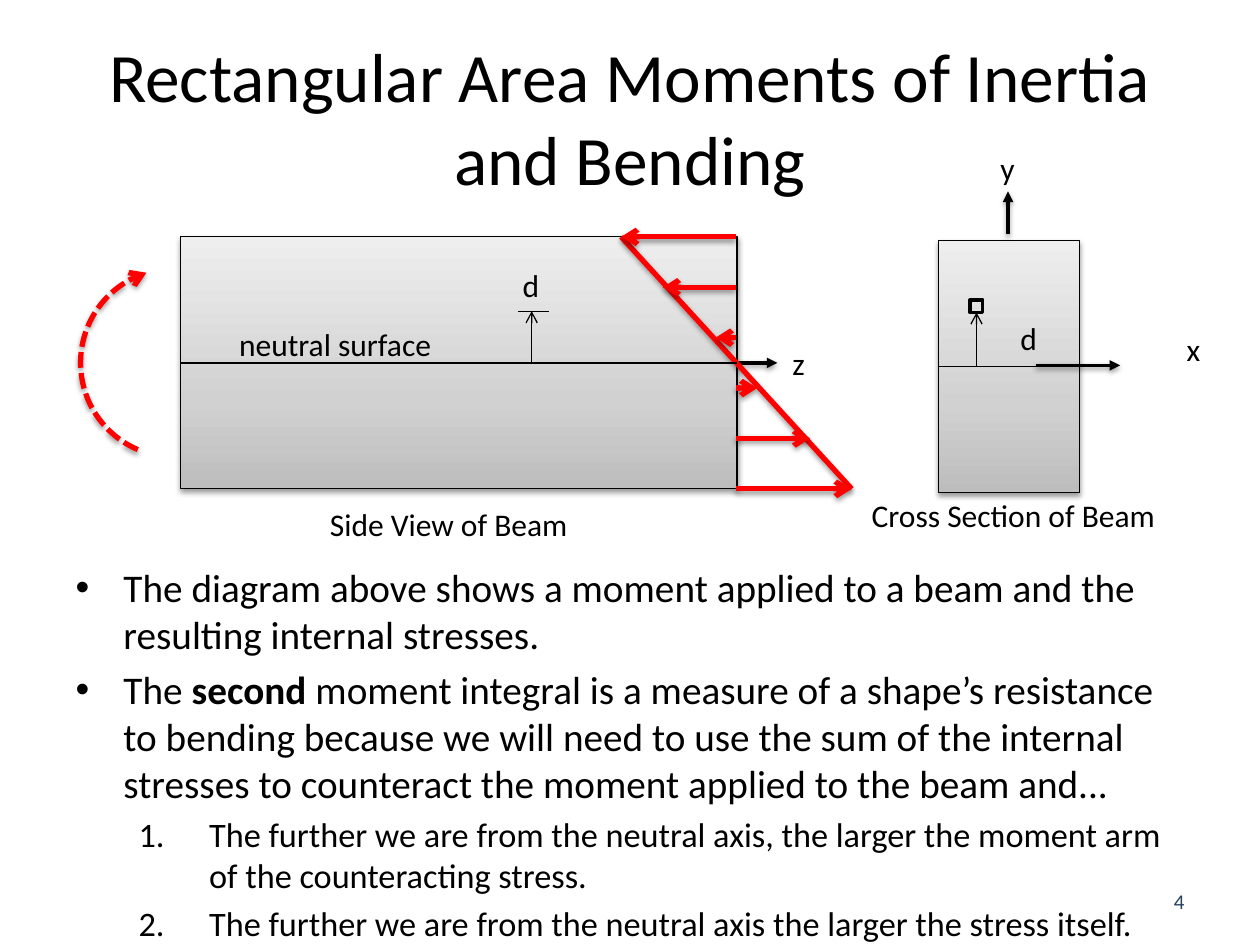
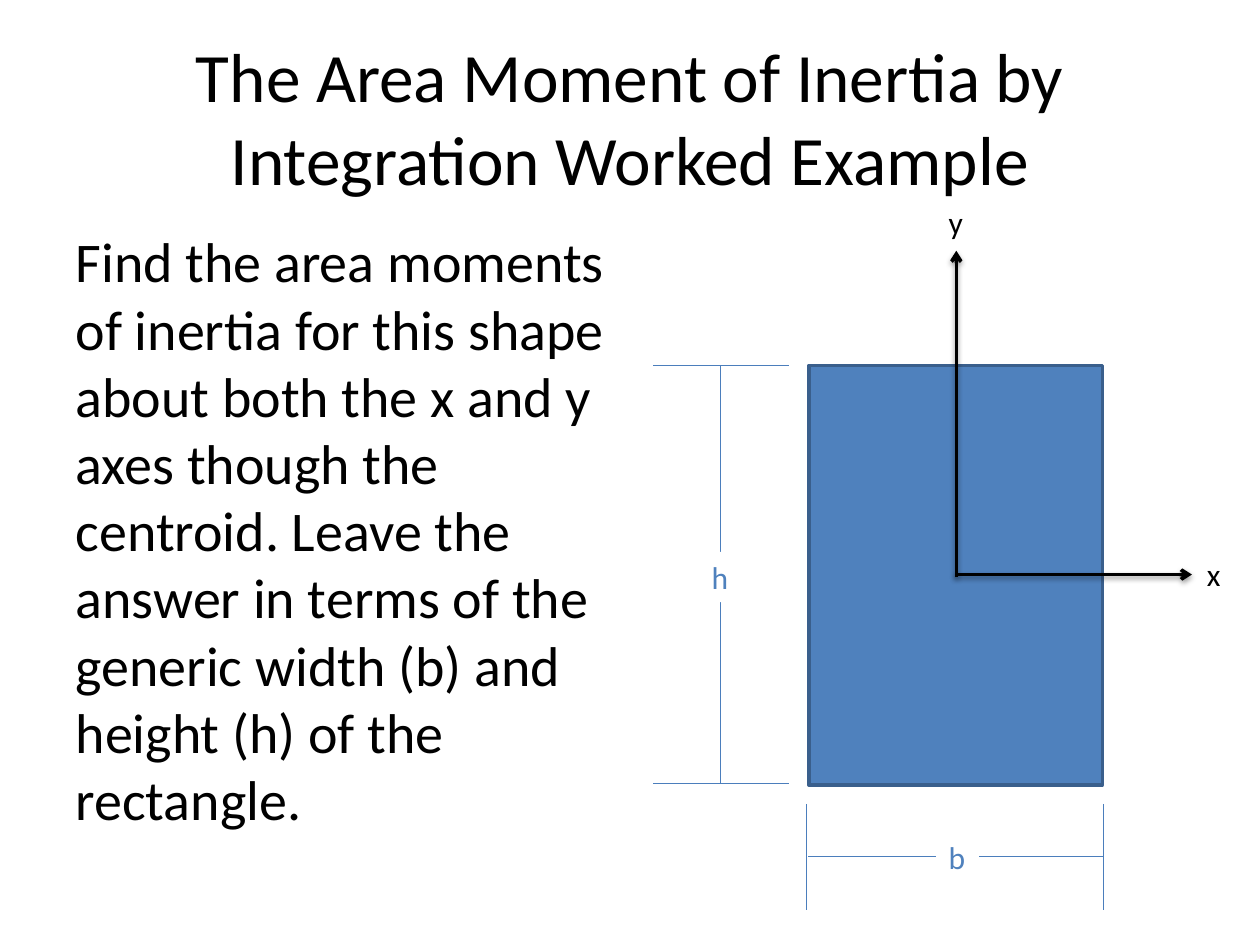
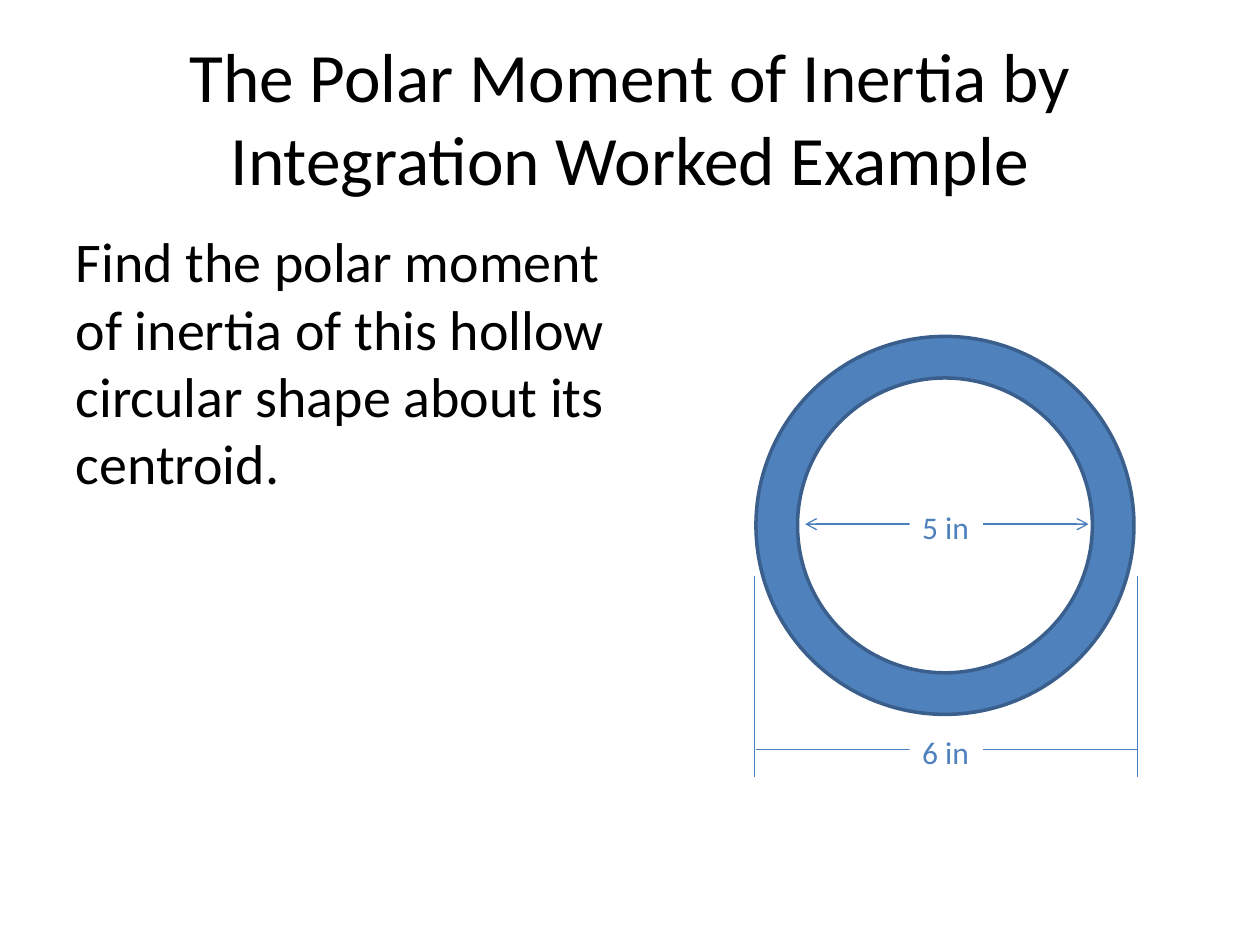
from dataclasses import dataclass

from lxml.etree import SubElement
from pptx import Presentation
from pptx.dml.color import RGBColor
from pptx.enum.dml import MSO_LINE
from pptx.enum.shapes import MSO_CONNECTOR, MSO_SHAPE
from pptx.enum.text import MSO_ANCHOR, MSO_AUTO_SIZE, PP_ALIGN
from pptx.oxml import parse_xml
from pptx.oxml.ns import nsdecls, qn
from pptx.util import Inches, Pt


@dataclass(frozen=True)
class Theme:
    """Fonts, colours, type sizes and line widths of the slides."""

    font: str = "Calibri"
    black: str = "000000"
    white: str = "FFFFFF"
    red: str = "FF0000"
    blue: str = "4F81BD"
    outline: str = "3A5F8C"
    dimension: str = "4B7EBC"
    number: str = "254061"
    metal: tuple = ((0, "BDBDBD"), (35, "D1D1D1"), (100, "EEEEEE"))
    title_size: float = 39.6
    body_size: float = 32
    list_size: float = 22.4
    sublist_size: float = 19.6
    label_size: float = 18
    number_size: float = 12
    thin: float = 0.75
    medium: float = 2
    thick: float = 3


THEME = Theme()


def rgb(color):
    """Turn a hex colour into an RGBColor."""
    return RGBColor.from_string(color)


def style_font(font, size, color=THEME.black):
    """Set the shared typeface with a size and a colour."""
    font.name = THEME.font
    font.size = Pt(size)
    font.color.rgb = rgb(color)


def place(shape, box):
    """Move and size a shape to left, top, width, height in inches."""
    shape.left, shape.top, shape.width, shape.height = map(Inches, box)


def set_shadow(shape, visible):
    """Replace the theme shadow by a soft downward one or by none."""
    effects = SubElement(shape.element.spPr, qn("a:effectLst"))
    if visible:
        shadow = SubElement(
            effects, qn("a:outerShdw"), blurRad=str(Pt(3.1)), dist=str(Pt(1.6)),
            dir="5400000", rotWithShape="0")
        color = SubElement(shadow, qn("a:srgbClr"), val=THEME.black)
        SubElement(color, qn("a:alpha"), val="38000")


def style_line(shape, color, width, head=None, tail=None, dash=None):
    """Set the stroke and the arrowheads of a shape or connector."""
    shape.line.color.rgb = rgb(color)
    shape.line.width = Pt(width)
    if dash:
        shape.line.dash_style = dash
    stroke = shape.element.spPr.find(qn("a:ln"))
    for tag, arrow in (("a:headEnd", head), ("a:tailEnd", tail)):
        if arrow:
            SubElement(stroke, qn(tag), type=arrow)


def add_line(slide, start, end, color=THEME.black, width=THEME.thin,
             head=None, tail=None, shadow=False):
    """Draw a straight connector between two points."""
    line = slide.shapes.add_connector(
        MSO_CONNECTOR.STRAIGHT, *map(Inches, (*start, *end)))
    style_line(line, color, width, head, tail)
    set_shadow(line, shadow)
    return line


def add_shape(slide, kind, box, fill=None, color=THEME.black, width=THEME.thin,
              shadow=False, tail=None, dash=None):
    """Draw a preset shape with an optional solid fill."""
    shape = slide.shapes.add_shape(kind, *map(Inches, box))
    if fill:
        shape.fill.solid()
        shape.fill.fore_color.rgb = rgb(fill)
    else:
        shape.fill.background()
    style_line(shape, color, width, tail=tail, dash=dash)
    set_shadow(shape, shadow)
    return shape


def add_metal_block(slide, box):
    """Draw a grey shaded rectangle."""
    block = add_shape(slide, MSO_SHAPE.RECTANGLE, box, shadow=True)
    stops = "".join(
        f'<a:gs pos="{position * 1000}"><a:srgbClr val="{color}"/></a:gs>'
        for position, color in THEME.metal)
    gradient = parse_xml(
        f'<a:gradFill {nsdecls("a")} rotWithShape="1"><a:gsLst>{stops}</a:gsLst>'
        '<a:lin ang="16200000" scaled="0"/></a:gradFill>')
    properties = block.element.spPr
    properties.replace(properties.find(qn("a:noFill")), gradient)
    return block


def add_label(slide, text, left, top, width, color=THEME.black, fill=None):
    """Add a one-line label that fits its text."""
    label = slide.shapes.add_textbox(*map(Inches, (left, top, width, 0.4)))
    if fill:
        label.fill.solid()
        label.fill.fore_color.rgb = rgb(fill)
    frame = label.text_frame
    frame.word_wrap = False
    frame.auto_size = MSO_AUTO_SIZE.SHAPE_TO_FIT_TEXT
    frame.text = text
    style_font(frame.paragraphs[0].font, THEME.label_size, color)


def add_slide_number(slide, number):
    """Add the slide number at the lower right."""
    box = slide.shapes.add_textbox(*map(Inches, (7.17, 6.95, 2.33, 0.4)))
    frame = box.text_frame
    frame.word_wrap = True
    frame.vertical_anchor = MSO_ANCHOR.MIDDLE
    frame.text = number
    paragraph = frame.paragraphs[0]
    paragraph.alignment = PP_ALIGN.RIGHT
    style_font(paragraph.font, THEME.number_size, THEME.number)


def add_titled_slide(presentation, title):
    """Add a slide with a centred title."""
    slide = presentation.slides.add_slide(presentation.slide_layouts[1])
    shape = slide.shapes.title
    place(shape, (0.5, 0.3, 9, 1.25))
    frame = shape.text_frame
    frame.text = title
    frame.auto_size = MSO_AUTO_SIZE.NONE
    frame.vertical_anchor = MSO_ANCHOR.MIDDLE
    paragraph = frame.paragraphs[0]
    paragraph.alignment = PP_ALIGN.CENTER
    style_font(paragraph.font, THEME.title_size)
    return slide


def set_bullet(paragraph, margin, hanging, tag, **attributes):
    """Give a paragraph its indents and its bullet element."""
    properties = paragraph._p.get_or_add_pPr()
    properties.set("marL", str(Inches(margin)))
    properties.set("indent", str(-Inches(hanging)))
    SubElement(properties, qn(tag), **attributes)


def fill_body(slide, box, paragraphs):
    """Fill the body placeholder with (style, runs) paragraphs."""
    body = slide.placeholders[1]
    place(body, box)
    frame = body.text_frame
    frame.auto_size = MSO_AUTO_SIZE.NONE
    for index, (style, runs) in enumerate(paragraphs):
        paragraph = frame.add_paragraph() if index else frame.paragraphs[0]
        if not index:
            paragraph.space_before = Pt(0)
        if style == "bullet":
            set_bullet(paragraph, 0.38, 0.38, "a:buChar", char="•")
            size = THEME.list_size
        elif style == "number":
            paragraph.level = 1
            set_bullet(paragraph, 1.06, 0.56, "a:buAutoNum", type="arabicPeriod")
            size = THEME.sublist_size
        else:
            set_bullet(paragraph, 0, 0, "a:buNone")
            size = THEME.body_size
        style_font(paragraph.font, size)
        for text, bold in runs:
            run = paragraph.add_run()
            run.text = text
            if bold:
                run.font.bold = True


def add_dimension(slide, start, end, text, left, top, width, arrow=None):
    """Draw a dimension line with its value on a white label."""
    add_line(slide, start, end, THEME.dimension, head=arrow, tail=arrow)
    add_label(slide, text, left, top, width, THEME.blue, THEME.white)


def add_witness_lines(slide, segments):
    """Draw the extension lines that bound a dimension."""
    for start, end in segments:
        add_line(slide, start, end, THEME.dimension)


def add_axis(slide, start, end, arrow="triangle"):
    """Draw a black coordinate axis."""
    return add_line(slide, start, end, width=THEME.medium, tail=arrow, shadow=True)


def add_stress_profile(slide):
    """Draw the linear bending stress at the end of the beam."""
    tips = (4.93, 5.26, 5.68, 6.01, 6.43, 6.76)
    top, step, face = 1.88, 0.4, 5.84
    add_line(slide, (tips[0], top), (tips[-1], top + 2), THEME.red, THEME.thick,
             shadow=True)
    for index, tip in enumerate(tips):
        height = top + index * step
        add_line(slide, (face, height), (tip, height), THEME.red, THEME.thick,
                 tail="arrow", shadow=True)


def add_side_view(slide):
    """Draw the beam from the side with its moment and stresses."""
    beam = add_metal_block(slide, (1.43, 1.88, 4.42, 2))
    z_axis = add_axis(slide, (5.85, 2.88), (6.17, 2.88))
    z_axis.begin_connect(beam, 3)
    moment = add_shape(slide, MSO_SHAPE.ARC, (0.64, 2.13, 1.5, 1.5), color=THEME.red,
                       width=THEME.thick, shadow=True, tail="arrow",
                       dash=MSO_LINE.SQUARE_DOT)
    moment.adjustments[0] = 67.934
    moment.adjustments[1] = 151.416
    add_stress_profile(slide)
    neutral_line = add_line(slide, (5.85, 2.88), (1.43, 2.88))
    neutral_line.begin_connect(beam, 3)
    neutral_line.end_connect(beam, 1)
    add_line(slide, (4.22, 2.88), (4.22, 2.47), tail="arrow")
    add_line(slide, (4.11, 2.47), (4.36, 2.47))


def add_cross_section(slide):
    """Draw the beam section with its axes and an area element."""
    section = add_metal_block(slide, (7.45, 1.91, 1.12, 2))
    add_axis(slide, (8.22, 2.9), (8.89, 2.9))
    add_axis(slide, (8, 1.86), (8, 1.52))
    neutral_axis = add_line(slide, (8.57, 2.91), (7.45, 2.91))
    neutral_axis.begin_connect(section, 3)
    neutral_axis.end_connect(section, 1)
    element = add_shape(slide, MSO_SHAPE.RECTANGLE, (7.7, 2.38, 0.1, 0.1),
                        width=THEME.medium)
    distance = add_line(slide, (7.75, 2.91), (7.75, 2.48), tail="arrow")
    distance.end_connect(element, 2)


def build_bending_slide(presentation):
    """Build the slide on bending and the second moment."""
    slide = add_titled_slide(
        presentation, "Rectangular Area Moments of Inertia and Bending")
    fill_body(slide, (0.5, 4.42, 9, 3), (
        ("bullet", (("The diagram above shows a moment applied to a beam and the "
                     "resulting internal stresses.", False),)),
        ("bullet", (("The ", False), ("second", True),
                    (" moment integral is a measure of a shape’s resistance to "
                     "bending because we will need to use the sum of the internal "
                     "stresses to counteract the moment applied to the beam and...",
                     False))),
        ("number", (("The further we are from the neutral axis, the larger the "
                     "moment arm of the counteracting stress.", False),)),
        ("number", (("The further we are from the neutral axis the larger the "
                     "stress itself.", False),)),
    ))
    add_slide_number(slide, "4")
    add_cross_section(slide)
    add_side_view(slide)
    for label in (
        ("z", 6.19, 2.68, 0.3),
        ("y", 7.84, 1.13, 0.32),
        ("x", 9.32, 2.57, 0.31),
        ("neutral surface", 1.8, 2.53, 1.8),
        ("d", 4.05, 2.06, 0.34),
        ("d", 8, 2.48, 0.34),
        ("Side View of Beam", 2.52, 3.96, 2.17),
        ("Cross Section of Beam", 6.82, 3.89, 2.48),
    ):
        add_label(slide, *label)


def build_rectangle_slide(presentation):
    """Build the worked example of the rectangle."""
    slide = add_titled_slide(
        presentation, "The Area Moment of Inertia by Integration Worked Example")
    fill_body(slide, (0.5, 1.75, 4.42, 5.17), (
        ("plain", (("Find the area moments of inertia for this shape about both the "
                    "x and y axes though the centroid. Leave the answer in terms of "
                    "the generic width (b) and height (h) of the rectangle.",
                    False),)),
    ))
    add_shape(slide, MSO_SHAPE.RECTANGLE, (6.42, 2.9, 2.33, 3.33), THEME.blue,
              THEME.outline, THEME.medium)
    add_label(slide, "x", 9.48, 4.36, 0.31)
    add_label(slide, "y", 7.43, 1.56, 0.32)
    add_axis(slide, (7.58, 4.56), (9.46, 4.56), "arrow")
    add_axis(slide, (7.59, 4.58), (7.59, 1.99), "arrow")
    add_dimension(slide, (8.76, 6.8), (6.41, 6.8), "b", 7.43, 6.6, 0.34)
    add_witness_lines(slide, [((x, 6.38), (x, 7.22)) for x in (6.4, 8.76)])
    add_witness_lines(slide, [((6.26, y), (5.18, y)) for y in (6.22, 2.9)])
    add_dimension(slide, (5.72, 6.22), (5.72, 2.9), "h", 5.55, 4.38, 0.34)


def build_ring_slide(presentation):
    """Build the worked example of the hollow circle."""
    slide = add_titled_slide(
        presentation, "The Polar Moment of Inertia by Integration Worked Example")
    fill_body(slide, (0.5, 1.75, 4.67, 4.95), (
        ("plain", (("Find the polar moment of inertia of this hollow circular shape "
                    "about its centroid.", False),)),
    ))
    ring = add_shape(slide, MSO_SHAPE.DONUT, (6, 2.67, 3, 3), THEME.blue,
                     THEME.outline, THEME.medium)
    ring.adjustments[0] = 0.11
    add_dimension(slide, (9.03, 5.95), (6, 5.95), "6 in", 7.22, 5.77, 0.58)
    add_witness_lines(slide, [((x, 4.57), (x, 6.17)) for x in (5.99, 9.03)])
    add_dimension(slide, (8.64, 4.16), (6.39, 4.16), "5 in", 7.22, 3.98, 0.58, "arrow")


def main():
    """Build and save the presentation."""
    presentation = Presentation()
    presentation.slide_width = Inches(10)
    presentation.slide_height = Inches(7.5)
    build_bending_slide(presentation)
    build_rectangle_slide(presentation)
    build_ring_slide(presentation)
    presentation.save("out.pptx")


if __name__ == "__main__":
    main()
